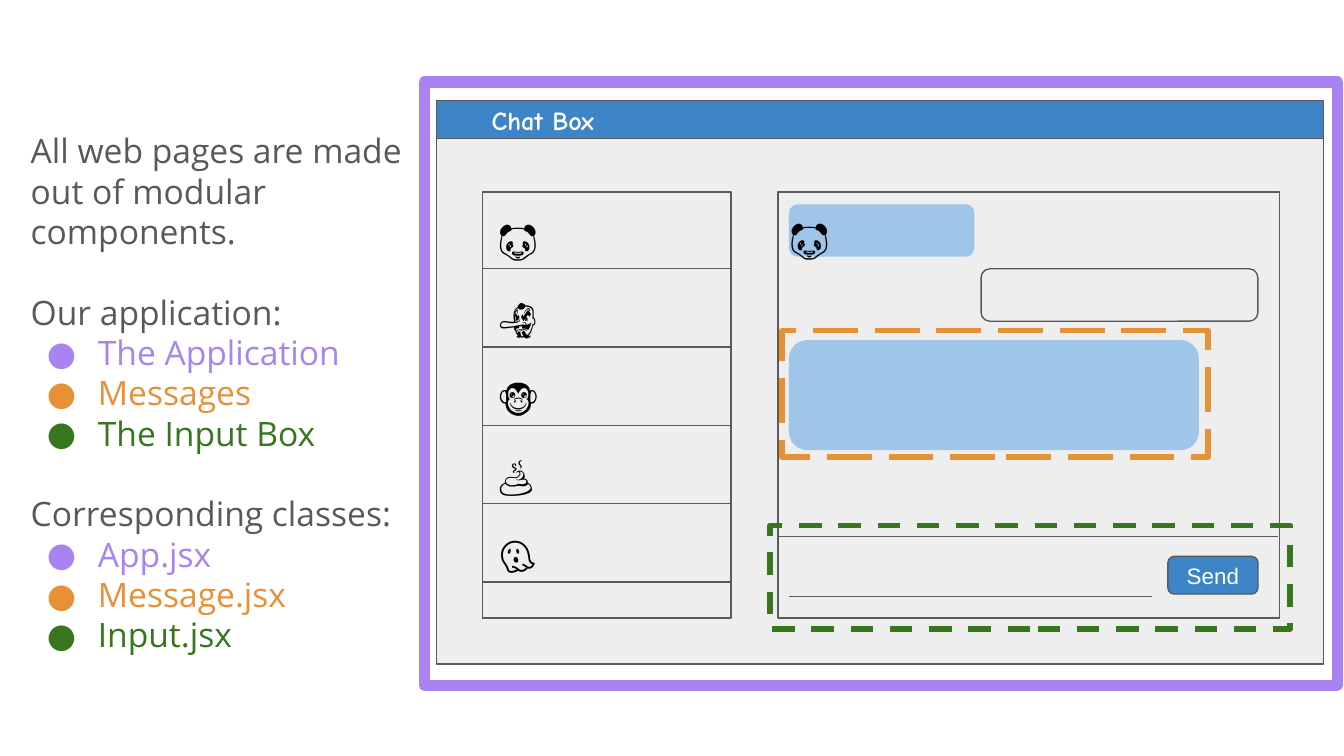
from lxml import etree
from pptx import Presentation
from pptx.dml.color import RGBColor
from pptx.enum.dml import MSO_LINE
from pptx.enum.shapes import MSO_CONNECTOR, MSO_SHAPE
from pptx.enum.text import MSO_ANCHOR, PP_ALIGN
from pptx.oxml.ns import qn
from pptx.util import Inches, Pt

COLORS = {
    "text": "595959", "purple": "A883F1", "orange": "E69138", "green": "38761D",
    "blue": "3D85C6", "bubble": "9FC5E8", "panel": "EEEEEE",
    "white": "FFFFFF", "black": "000000",
}
RGB = {name: RGBColor.from_string(value) for name, value in COLORS.items()}

# Widescreen page, 16:9
deck = Presentation()
deck.slide_width = Inches(10)
deck.slide_height = Inches(10 * 9 / 16)
page = deck.slides.add_slide(deck.slide_layouts[6])


def add_box(kind, left, top, width, height, fill=None, line="text", weight=0.75):
    box = page.shapes.add_shape(
        kind, Inches(left), Inches(top), Inches(width), Inches(height))
    box.shadow.inherit = False
    if fill:
        box.fill.solid()
        box.fill.fore_color.rgb = RGB[fill]
    else:
        box.fill.background()
    if line:
        box.line.color.rgb = RGB[line]
        box.line.width = Pt(weight)
    else:
        box.line.fill.background()
    return box


def add_text(left, top, width, height):
    frame = page.shapes.add_textbox(
        Inches(left), Inches(top), Inches(width), Inches(height)).text_frame
    frame.word_wrap = True
    frame.margin_left = frame.margin_right = Inches(0.1)
    frame.margin_top = frame.margin_bottom = Inches(0.1)
    return frame


# Explanation with its two bulleted lists
outline = [
    ("All web pages are made out of modular components.", "text", False),
    ("Our application:", "text", False),
    ("The Application", "purple", True),
    ("Messages", "orange", True),
    ("The Input Box", "green", True),
    ("Corresponding classes:", "text", False),
    ("App.jsx", "purple", True),
    ("Message.jsx", "orange", True),
    ("Input.jsx", "green", True),
]
frame = add_text(0.13, 0.87, 3.01, 4.22)
for index, (words, color, bulleted) in enumerate(outline):
    para = frame.paragraphs[0] if index == 0 else frame.add_paragraph()
    para.text = words
    if bulleted:
        props = para._p.get_or_add_pPr()
        props.set("marL", str(Inches(0.5)))
        props.set("indent", str(Inches(-0.38)))
        bullet_color = etree.SubElement(props, qn("a:buClr"))
        etree.SubElement(bullet_color, qn("a:srgbClr"), val=COLORS[color])
        etree.SubElement(props, qn("a:buFont"), typeface="Open Sans")
        etree.SubElement(props, qn("a:buChar"), char="●")
    elif index > 0:
        para.space_before = Pt(21.6)
    para.font.name, para.font.size = "Open Sans", Pt(18)
    para.font.color.rgb = RGB[color]

# Chat window: panel, title bar, conversation and contact list
add_box(MSO_SHAPE.RECTANGLE, 3.25, 0.76, 6.6, 4.18, "panel")
add_box(MSO_SHAPE.RECTANGLE, 5.79, 1.43, 3.73, 3.17, "panel")
add_box(MSO_SHAPE.RECTANGLE, 3.25, 0.75, 6.6, 0.28, "blue")
add_box(MSO_SHAPE.RECTANGLE, 3.59, 1.43, 1.85, 3.17, "panel")

para = add_text(3.56, 0.68, 1.85, 0.27).paragraphs[0]
para.text = "Chat Box"
para.font.name, para.font.size, para.font.bold = "Comic Neue", Pt(14), True
para.font.color.rgb = RGB["white"]

# Contact dividers, then the input area's top edge and writing line
ROW = 2.33 / 4
rules = [(3.59, 5.44, 2 + row * ROW) for row in range(5)]
rules += [(5.79, 9.51, 3.99), (5.87, 8.57, 4.44)]
for start, end, height in rules:
    rule = page.shapes.add_connector(
        MSO_CONNECTOR.STRAIGHT, Inches(start), Inches(height), Inches(end), Inches(height))
    rule.line.color.rgb = RGB["text"]
    rule.line.width = Pt(0.75)
    etree.SubElement(rule._element.spPr, qn("a:effectLst"))

# Message bubbles
for left, top, width, height, fill, line in [
    (5.87, 1.52, 1.38, 0.39, "bubble", None),
    (7.3, 2, 2.06, 0.39, "panel", "text"),
    (5.87, 2.53, 3.05, 0.82, "bubble", None),
]:
    add_box(MSO_SHAPE.ROUNDED_RECTANGLE, left, top, width, height, fill, line)

# Avatars: one per contact, and the sender of the first message
avatars = [(face, 3.61, 1.45 + row * ROW) for row, face in enumerate("🐼👺🐵💩👻")]
avatars.append(("🐼", 5.78, 1.44))
for face, left, top in avatars:
    para = add_text(left, top, 0.53, 0.52).paragraphs[0]
    para.text = face
    para.line_spacing, para.space_after = 1.15, Pt(8)
    para.font.name, para.font.size = "Arial", Pt(21)
    para.font.color.rgb = RGB["black"]

# Send button
button = add_box(MSO_SHAPE.ROUNDED_RECTANGLE, 8.69, 4.14, 0.67, 0.28, "blue")
button.text_frame.vertical_anchor = MSO_ANCHOR.MIDDLE
para = button.text_frame.paragraphs[0]
para.text = "Send"
para.alignment = PP_ALIGN.CENTER
para.font.name, para.font.size = "Arial", Pt(12)
para.font.color.rgb = RGB["white"]

# Component frames: application, message, input box
add_box(MSO_SHAPE.RECTANGLE, 3.16, 0.61, 6.79, 4.49, line="purple", weight=6)
message = add_box(MSO_SHAPE.RECTANGLE, 5.82, 2.46, 3.17, 0.94, line="orange", weight=3)
message.line.dash_style = MSO_LINE.LONG_DASH
entry = add_box(MSO_SHAPE.RECTANGLE, 5.73, 3.91, 3.87, 0.77, line="green", weight=3)
entry.line.dash_style = MSO_LINE.DASH

deck.save("out.pptx")
